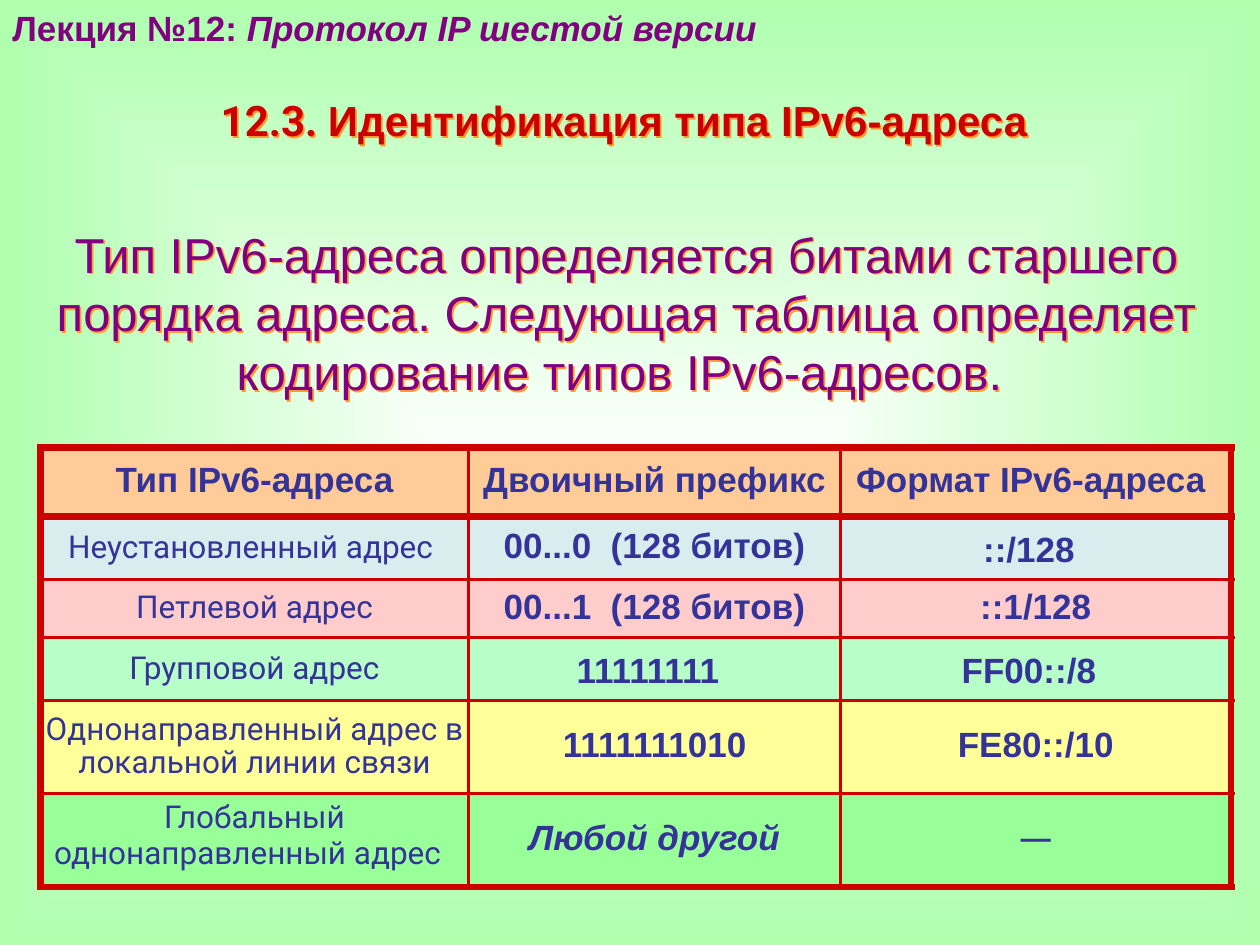
from pptx import Presentation
from pptx.dml.color import RGBColor
from pptx.enum.text import MSO_ANCHOR, MSO_AUTO_SIZE, PP_ALIGN
from pptx.oxml import parse_xml
from pptx.oxml.ns import nsdecls, qn
from pptx.util import Inches, Pt

COLORS = {
    "white": "FFFFFF", "green": "AFFFAF", "purple": "800080", "red": "CC0000",
    "orange": "FF9933", "navy": "333399", "black": "000000",
}
COLUMN_WIDTHS = [3.4, 2.95, 3.1]
ROW_HEIGHTS = [0.55, 0.5, 0.46, 0.5, 0.74, 0.74]
ROW_FILLS = ["FFCC99", "D9EDEF", "FFCCCC", "B8FEC9", "FFFF99", "99FF99"]
ROWS = [
    ["Тип IPv6-адреса", "Двоичный префикс", "Формат IPv6-адреса "],
    ["Неустановленный адрес ", "00...0  (128 битов)", "::/128"],
    ["Петлевой адрес", "00...1  (128 битов)", "::1/128"],
    ["Групповой адрес", "11111111", "FF00::/8"],
    ["Однонаправленный адрес в локальной линии связи", "1111111010", "FE80::/10"],
    ["Глобальный\nоднонаправленный адрес", "Любой другой", "─"],
]
# Cells whose last line ends with a larger space, which makes the line taller
TALL_CELLS = {(1, 2), (3, 1), (3, 2), (5, 0)}
THICK, THIN = 4.5, 2.25


def set_font(font, size, color, name="Arial", bold=False, italic=False):
    font.size, font.name, font.bold, font.italic = Pt(size), name, bold, italic
    font.color.rgb = RGBColor.from_string(COLORS[color])


def set_background(slide):
    """Rectangular gradient from a white centre to green edges."""
    fill = slide.background.fill
    fill.gradient()
    for stop, position, color in zip(fill.gradient_stops, (0, 1), ("white", "green")):
        stop.position = position
        stop.color.rgb = RGBColor.from_string(COLORS[color])
    gradient = slide.element.find(".//" + qn("a:gradFill"))
    gradient.replace(gradient.find(qn("a:lin")), parse_xml(
        f'<a:path {nsdecls("a")} path="shape"><a:fillToRect l="50000" t="50000" '
        'r="50000" b="50000"/></a:path>'))


def place_text(shape, left, top, width, height, centered=True):
    """Position a text shape and return its first paragraph."""
    shape.left, shape.top = Inches(left), Inches(top)
    shape.width, shape.height = Inches(width), Inches(height)
    frame = shape.text_frame
    frame.word_wrap = True
    frame.auto_size = MSO_AUTO_SIZE.NONE
    frame.vertical_anchor = MSO_ANCHOR.TOP
    paragraph = frame.paragraphs[0]
    paragraph.alignment = PP_ALIGN.CENTER if centered else PP_ALIGN.LEFT
    paragraph.space_before = Pt(0)
    return paragraph


def add_run(paragraph, text, *font_values, **font_options):
    run = paragraph.add_run()
    run.text = text
    set_font(run.font, *font_values, **font_options)


def add_text_shadow(shape):
    shape.element.spPr.append(parse_xml(
        f'<a:effectLst {nsdecls("a")}><a:outerShdw dist="17961" dir="2700000">'
        f'<a:srgbClr val="{COLORS["orange"]}"/></a:outerShdw></a:effectLst>'))


def set_borders(cell, row, column):
    """Thick lines around the table and under the header, thin ones elsewhere."""
    last_row, last_column = len(ROWS) - 1, len(COLUMN_WIDTHS) - 1
    thick_sides = {"lnL": column == 0, "lnR": column == last_column,
                   "lnT": row <= 1, "lnB": row in (0, last_row)}
    properties = cell._tc.get_or_add_tcPr()
    for index, (side, thick) in enumerate(thick_sides.items()):
        width = Pt(THICK if thick else THIN)
        properties.insert(index, parse_xml(
            f'<a:{side} {nsdecls("a")} w="{width}"><a:solidFill>'
            f'<a:srgbClr val="{COLORS["red"]}"/></a:solidFill></a:{side}>'))


def fill_cell(cell, row, column):
    cell.fill.solid()
    cell.fill.fore_color.rgb = RGBColor.from_string(ROW_FILLS[row])
    cell.vertical_anchor = MSO_ANCHOR.MIDDLE
    cell.margin_left = cell.margin_right = cell.margin_top = cell.margin_bottom = 0
    cell.text = ROWS[row][column]
    is_type = column == 0 and row > 0
    is_last = row == len(ROWS) - 1
    size = 18 if is_type else 24 if ROWS[row][column] == "─" else 20
    for paragraph in cell.text_frame.paragraphs:
        paragraph.alignment = PP_ALIGN.CENTER
        paragraph.line_spacing = 0.7 if is_type and is_last else 0.9
        for run in paragraph.runs:
            set_font(run.font, size, "navy", "Roboto" if is_type else "Arial",
                     bold=not is_type, italic=is_last and column == 1)
    if (row, column) in TALL_CELLS:
        add_run(paragraph, " ", 28, "black")
    set_borders(cell, row, column)


def add_address_table(slide, left, top):
    frame = slide.shapes.add_table(
        len(ROW_HEIGHTS), len(COLUMN_WIDTHS), Inches(left), Inches(top),
        Inches(sum(COLUMN_WIDTHS)), Inches(sum(ROW_HEIGHTS)))
    table = frame.table
    for column, width in zip(table.columns, COLUMN_WIDTHS):
        column.width = Inches(width)
    for row, height in zip(table.rows, ROW_HEIGHTS):
        row.height = Inches(height)
    for row in range(len(ROW_HEIGHTS)):
        for column in range(len(COLUMN_WIDTHS)):
            fill_cell(table.cell(row, column), row, column)


def main():
    presentation = Presentation()
    presentation.slide_width, presentation.slide_height = Inches(10), Inches(7.5)
    slide = presentation.slides.add_slide(presentation.slide_layouts[5])
    set_background(slide)

    # Lecture heading
    lecture = slide.shapes.add_textbox(0, 0, 0, 0)
    paragraph = place_text(lecture, 0, 0, 6.38, 0.43, centered=False)
    add_run(paragraph, "Лекция №12: ", 20, "purple", bold=True)
    add_run(paragraph, "Протокол IP шестой версии", 20, "purple", bold=True, italic=True)

    # Section title
    title = slide.shapes.title
    paragraph = place_text(title, 0, 0.7, 10, 0.5)
    add_run(paragraph, "12.3. ", 24, "red", name="Roboto", bold=True)
    add_run(paragraph, "Идентификация типа IPv6-адреса ", 24, "red", bold=True)
    add_text_shadow(title)

    # Introduction
    introduction = slide.shapes.add_textbox(0, 0, 0, 0)
    paragraph = place_text(introduction, 0.27, 1.73, 9.4, 1.5)
    paragraph.text = ("Тип IPv6-адреса определяется битами старшего порядка адреса. "
                      "Следующая таблица определяет кодирование типов IPv6-адресов. ")
    set_font(paragraph.font, 28, "purple")
    add_text_shadow(introduction)

    add_address_table(slide, 0.32, 3.55)
    presentation.save("out.pptx")


if __name__ == "__main__":
    main()
